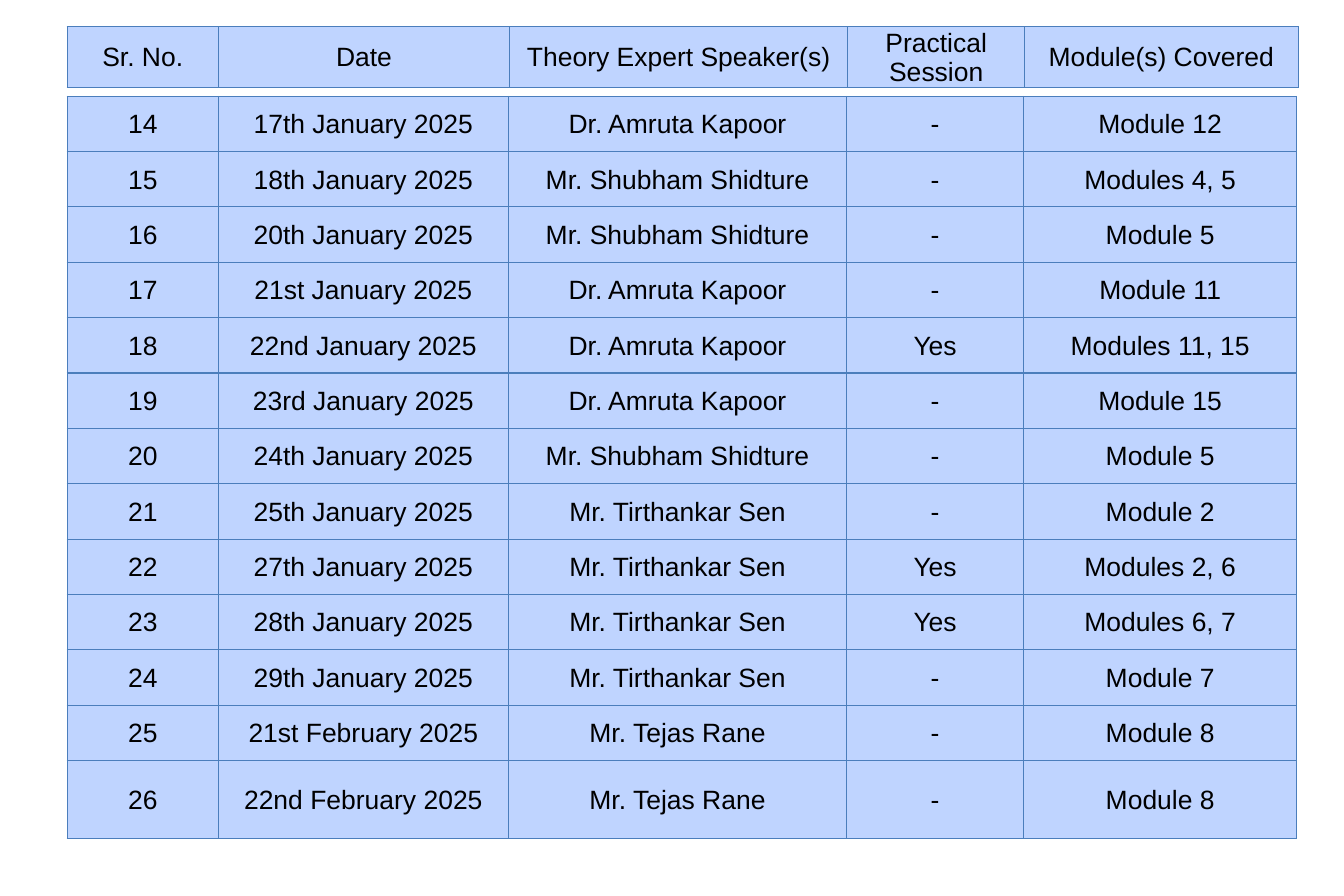
import lxml.etree
import pptx
import pptx.dml.color
import pptx.enum.text
import pptx.oxml.ns
import pptx.util

Inches = pptx.util.Inches

COLORS = {"cell": "BFD4FF", "border": "4B7EBC", "text": "000000"}
CELL_FORMAT = {
    "vertical_anchor": pptx.enum.text.MSO_ANCHOR.MIDDLE,
    "margin_left": Inches(0.01),
    "margin_right": Inches(0.01),
    "margin_top": Inches(0.01),
    "margin_bottom": 0,
}
FONT_FORMAT = {"name": "Arial", "size": pptx.util.Pt(17), "bold": False}
TABLE_FORMAT = {"first_row": False, "horz_banding": False}

HEADINGS = ["Sr. No.", "Date", "Theory Expert Speaker(s)", "Practical Session", "Module(s) Covered"]
FIRST_SESSION = 14
SESSIONS = [
    ("17th January 2025", "Dr. Amruta Kapoor", "-", "Module 12"),
    ("18th January 2025", "Mr. Shubham Shidture", "-", "Modules 4, 5"),
    ("20th January 2025", "Mr. Shubham Shidture", "-", "Module 5"),
    ("21st January 2025", "Dr. Amruta Kapoor", "-", "Module 11"),
    ("22nd January 2025", "Dr. Amruta Kapoor", "Yes", "Modules 11, 15"),
    ("23rd January 2025", "Dr. Amruta Kapoor", "-", "Module 15"),
    ("24th January 2025", "Mr. Shubham Shidture", "-", "Module 5"),
    ("25th January 2025", "Mr. Tirthankar Sen", "-", "Module 2"),
    ("27th January 2025", "Mr. Tirthankar Sen", "Yes", "Modules 2, 6"),
    ("28th January 2025", "Mr. Tirthankar Sen", "Yes", "Modules 6, 7"),
    ("29th January 2025", "Mr. Tirthankar Sen", "-", "Module 7"),
    ("21st February 2025", "Mr. Tejas Rane", "-", "Module 8"),
    ("22nd February 2025", "Mr. Tejas Rane", "-", "Module 8"),
]
TABLE_LEFT = 0.6
LAST_ROW_HEIGHT = 0.7
ROW_HEIGHT = (6.63 - LAST_ROW_HEIGHT) / (len(SESSIONS) - 1)


def apply_format(target, values):
    for name, value in values.items():
        setattr(target, name, value)


class ScheduleSlide:
    """Holds the slide and the shared table style."""

    def __init__(self, presentation):
        self.slide = presentation.slides.add_slide(presentation.slide_layouts[6])

    def color(self, name):
        return pptx.dml.color.RGBColor.from_string(COLORS[name])

    def add_borders(self, cell):
        properties = cell._tc.get_or_add_tcPr()
        qualified = pptx.oxml.ns.qn
        for side in ("lnL", "lnR", "lnT", "lnB"):
            line = lxml.etree.SubElement(properties, qualified(f"a:{side}"), w=str(pptx.util.Pt(0.75)))
            fill = lxml.etree.SubElement(line, qualified("a:solidFill"))
            lxml.etree.SubElement(fill, qualified("a:srgbClr"), val=COLORS["border"])

    def write_cell(self, cell, text):
        apply_format(cell, CELL_FORMAT)
        self.add_borders(cell)
        cell.fill.solid()
        cell.fill.fore_color.rgb = self.color("cell")
        cell.text = text
        paragraph = cell.text_frame.paragraphs[0]
        paragraph.alignment = pptx.enum.text.PP_ALIGN.CENTER
        font = paragraph.runs[0].font
        apply_format(font, FONT_FORMAT)
        font.color.rgb = self.color("text")

    def add_table(self, top, widths, heights, rows):
        shape = self.slide.shapes.add_table(
            len(rows), len(widths), Inches(TABLE_LEFT), Inches(top),
            Inches(sum(widths)), Inches(sum(heights)))
        table = shape.table
        apply_format(table, TABLE_FORMAT)
        for column, width in zip(table.columns, widths):
            column.width = Inches(width)
        for row, height, texts in zip(table.rows, heights, rows):
            row.height = Inches(height)
            for cell, text in zip(row.cells, texts):
                self.write_cell(cell, text)


def main():
    presentation = pptx.Presentation()
    presentation.slide_width = Inches(12)
    presentation.slide_height = Inches(8)
    schedule = ScheduleSlide(presentation)
    rows = [(str(number), *session) for number, session in enumerate(SESSIONS, FIRST_SESSION)]
    heights = [ROW_HEIGHT] * (len(rows) - 1) + [LAST_ROW_HEIGHT]
    schedule.add_table(0.86, [1.35, 2.59, 3.02, 1.58, 2.44], heights, rows)
    schedule.add_table(0.24, [1.35, 2.6, 3.02, 1.58, 2.44], [0.51], [HEADINGS])
    presentation.save("out.pptx")


if __name__ == "__main__":
    main()
